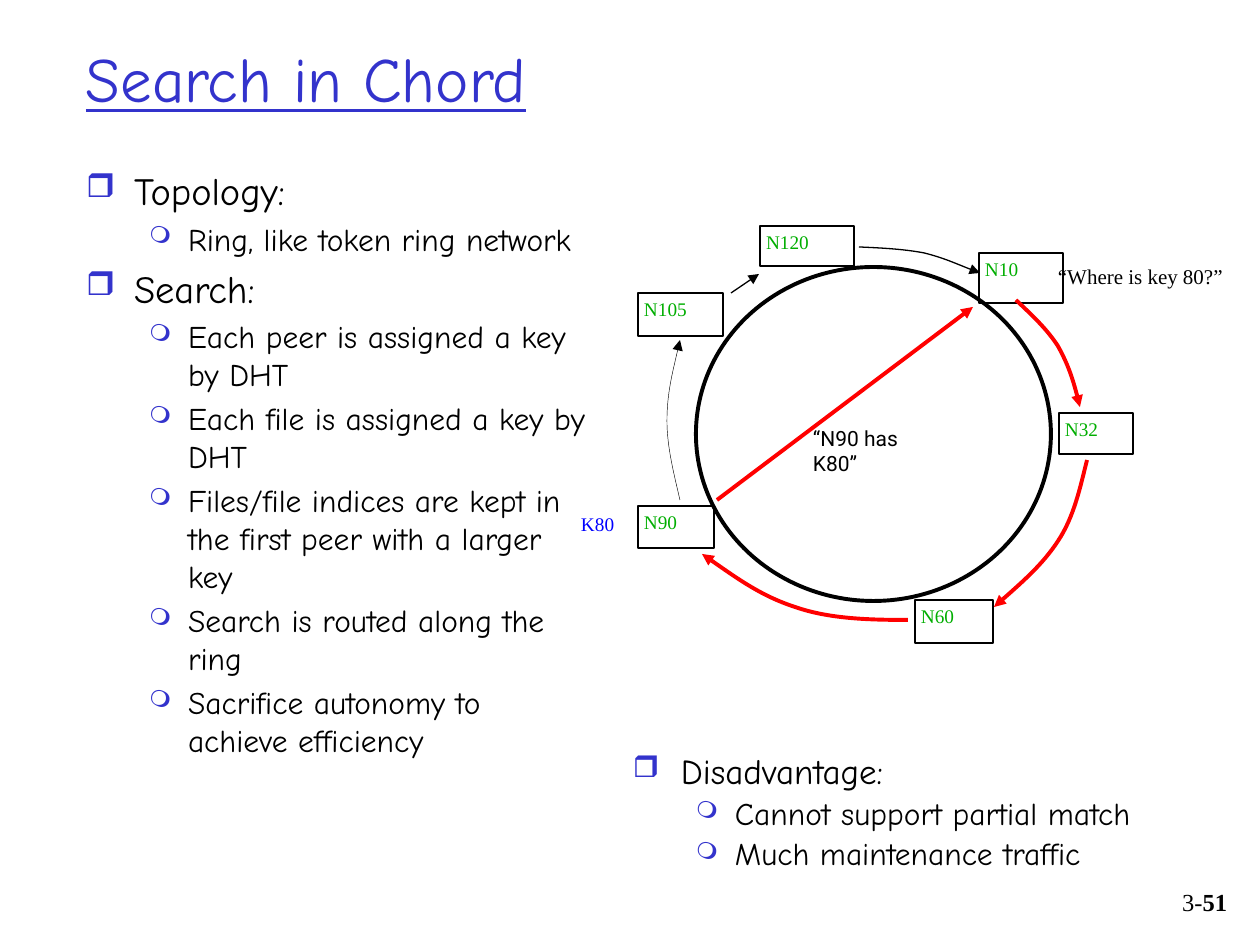
from pptx import Presentation
from pptx.dml.color import RGBColor
from pptx.enum.shapes import MSO_CONNECTOR, MSO_SHAPE
from pptx.enum.text import MSO_ANCHOR, PP_ALIGN
from pptx.oxml.ns import qn
from pptx.util import Emu, Pt
from lxml.etree import SubElement

PX_PER_INCH = 126
HAND, SERIF, SANS = "Comic Neue", "Times New Roman", "Roboto"
BLACK, BLUE, GREEN, RED, KEY_BLUE = "000000", "3333CC", "00AE00", "FF0000", "0000FF"
SMALL_INSETS = (6, 4)
LEVELS = [("❒", 85, 48, 48), ("❍", 75, 102, 39)]

POINTS = [
    (0, "Topology:"),
    (1, "Ring, like token ring network"),
    (0, "Search:"),
    (1, "Each peer is assigned a key by DHT"),
    (1, "Each file is assigned a key by DHT"),
    (1, "Files/file indices are kept in the first peer with a larger key"),
    (1, "Search is routed along the ring"),
    (1, "Sacrifice autonomy to achieve efficiency"),
]
DRAWBACKS = [
    (0, "Disadvantage:"),
    (1, "Cannot support partial match"),
    (1, "Much maintenance traffic"),
]
PEERS = [
    ("N32", (1059, 413, 74, 41)),
    ("N90", (638, 506, 76, 42)),
    ("N105", (638, 293, 85, 43)),
    ("N60", (915, 600, 78, 43)),
    ("N10", (979, 253, 84, 50)),
    ("N120", (760, 226, 94, 40)),
]
HOPS = [
    (BLACK, 0.75, [(859, 247), (881, 248), (903, 249), (924, 253),
                   (944, 258), (961, 266), (980, 273)]),
    (RED, 2.25, [(1016, 300), (1032, 315), (1047, 329), (1058, 346),
                 (1068, 364), (1075, 385), (1080, 407)]),
    (RED, 2.25, [(1087, 460), (1080, 488), (1074, 517), (1058, 541),
                 (1043, 564), (1018, 586), (994, 607)]),
    (RED, 2.25, [(908, 620), (869, 620), (829, 619), (795, 607),
                 (761, 596), (731, 574), (702, 554)]),
    (BLACK, 0.25, [(680, 500), (674, 474), (667, 447), (667, 421),
                   (667, 393), (674, 367), (680, 340)]),
]


def px(length):
    """Turn px into EMU."""
    return Emu(round(length * 914400 / PX_PER_INCH))


def color(hex_value):
    """Turn a hex string into a colour."""
    return RGBColor.from_string(hex_value)


def add_run(paragraph, text, size, face, hex_value, bold=None, underline=None):
    """Append one styled run."""
    run = paragraph.add_run()
    run.text = text
    font = run.font
    font.size, font.name, font.bold, font.underline = Pt(size), face, bold, underline
    font.color.rgb = color(hex_value)


def prepare_frame(shape, insets=(13, 6), wrap=True, anchor=MSO_ANCHOR.TOP):
    """Set the insets, wrapping and anchor of a shape's text."""
    frame = shape.text_frame
    frame.margin_left = frame.margin_right = px(insets[0])
    frame.margin_top = frame.margin_bottom = px(insets[1])
    frame.word_wrap, frame.vertical_anchor = wrap, anchor
    return frame


def add_text(slide, box, **frame_options):
    """Add a text box and return its first paragraph."""
    holder = slide.shapes.add_textbox(*map(px, box))
    return prepare_frame(holder, **frame_options).paragraphs[0]


def add_label(slide, box, text, size, face, hex_value, wrap=False):
    """Add a small label of the ring diagram."""
    paragraph = add_text(slide, box, insets=SMALL_INSETS, wrap=wrap)
    add_run(paragraph, text, size, face, hex_value)


def set_bullet(paragraph, level):
    """Give a paragraph the bullet and indents of its level."""
    mark, percent, margin, hanging = LEVELS[level]
    properties = paragraph._p.get_or_add_pPr()
    properties.set("marL", str(px(margin)))
    properties.set("indent", str(-px(hanging)))
    bullet_color = SubElement(properties, qn("a:buClr"))
    SubElement(bullet_color, qn("a:srgbClr"), val=BLUE)
    SubElement(properties, qn("a:buSzPct"), val=str(percent * 1000))
    SubElement(properties, qn("a:buChar"), char=mark)


def add_outline(slide, box, items, sizes, line_spacing):
    """Add a two-level bulleted list."""
    frame = prepare_frame(slide.shapes.add_textbox(*map(px, box)))
    for index, (level, text) in enumerate(items):
        paragraph = frame.add_paragraph() if index else frame.paragraphs[0]
        paragraph.level = level
        paragraph.line_spacing = line_spacing
        paragraph.space_before = Pt(sizes[level] * 0.2)
        set_bullet(paragraph, level)
        add_run(paragraph, text, sizes[level], HAND, BLACK)


def add_outlined(slide, kind, box, width):
    """Add an unfilled shape with a black outline."""
    shape = slide.shapes.add_shape(kind, *map(px, box))
    shape.shadow.inherit = False
    shape.fill.background()
    shape.line.color.rgb = color(BLACK)
    shape.line.width = Pt(width)
    return shape


def add_peer(slide, name, box):
    """Add a labelled peer of the ring."""
    frame = prepare_frame(add_outlined(slide, MSO_SHAPE.RECTANGLE, box, 0.75), SMALL_INSETS)
    frame.paragraphs[0].alignment = PP_ALIGN.LEFT
    add_run(frame.paragraphs[0], name, 11, SERIF, GREEN)


def style_arrow(arrow, hex_value, width):
    """Set an arrow's line and put a triangle at its end."""
    arrow.line.color.rgb = color(hex_value)
    arrow.line.width = Pt(width)
    outline = arrow._element.spPr.find(qn("a:ln"))
    SubElement(outline, qn("a:tailEnd"), type="triangle")


def add_straight_arrow(slide, start, end, hex_value, width):
    """Add a straight arrow."""
    arrow = slide.shapes.add_connector(MSO_CONNECTOR.STRAIGHT, *map(px, start + end))
    style_arrow(arrow, hex_value, width)
    SubElement(arrow._element.spPr, qn("a:effectLst"))


def add_curved_arrow(slide, hex_value, width, points):
    """Add an arrow of Bézier pieces, three points to each after the start."""
    start, *rest = [(px(x), px(y)) for x, y in points]
    builder = slide.shapes.build_freeform(*start)
    builder.add_line_segments(rest, close=False)
    arrow = builder.convert_to_shape()
    arrow.shadow.inherit = False
    arrow.fill.background()
    style_arrow(arrow, hex_value, width)
    segments = list(arrow._element.iter(qn("a:lnTo")))
    for first in range(0, len(segments), 3):
        curve = SubElement(segments[first].getparent(), qn("a:cubicBezTo"))
        for segment in segments[first:first + 3]:
            curve.append(segment[0])
            segment.getparent().remove(segment)


def add_ring(slide):
    """Add the Chord ring with its peers, hops and labels."""
    add_outlined(slide, MSO_SHAPE.OVAL, (696, 267, 355, 334), 2.25)
    for name, box in PEERS:
        add_peer(slide, name, box)
    add_straight_arrow(slide, (731, 293), (759, 274), BLACK, 0.75)
    add_label(slide, (575, 508, 46, 30), "K80", 11, SERIF, KEY_BLUE)
    add_label(slide, (1052, 260, 179, 31), "“Where is key 80?”", 12, SERIF, BLACK)
    for hex_value, width, points in HOPS:
        add_curved_arrow(slide, hex_value, width, points)
    add_straight_arrow(slide, (717, 500), (973, 307), RED, 2.25)
    add_label(slide, (807, 421, 120, 58), "“N90 has K80”", 12, SANS, BLACK, wrap=True)


def main():
    """Build and save the slide."""
    deck = Presentation()
    deck.slide_width, deck.slide_height = px(1260), px(945)
    slide = deck.slides.add_slide(deck.slide_layouts[6])
    page = add_text(slide, (1144, 881, 96, 63))
    page.alignment = PP_ALIGN.RIGHT
    add_run(page, "3-", 14, SERIF, BLACK)
    add_run(page, "51", 14, SERIF, BLACK, bold=True)
    title = add_text(slide, (73, 14, 1071, 127), anchor=MSO_ANCHOR.MIDDLE)
    add_run(title, "Search in Chord", 36, HAND, BLUE, underline=True)
    add_outline(slide, (73, 161, 525, 752), POINTS, (22, 18), 1.0)
    add_outline(slide, (620, 748, 581, 165), DRAWBACKS, (20, 18), 0.9)
    add_ring(slide)
    deck.save("out.pptx")


if __name__ == "__main__":
    main()
